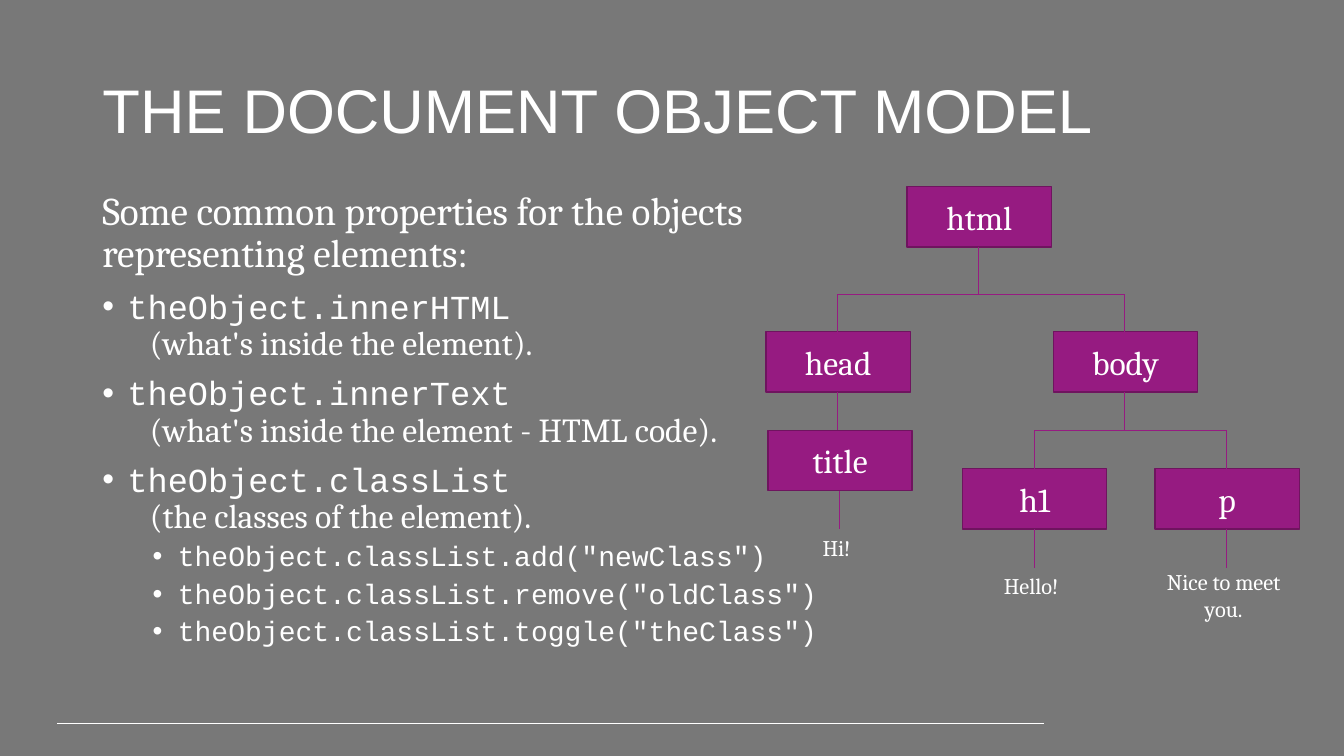
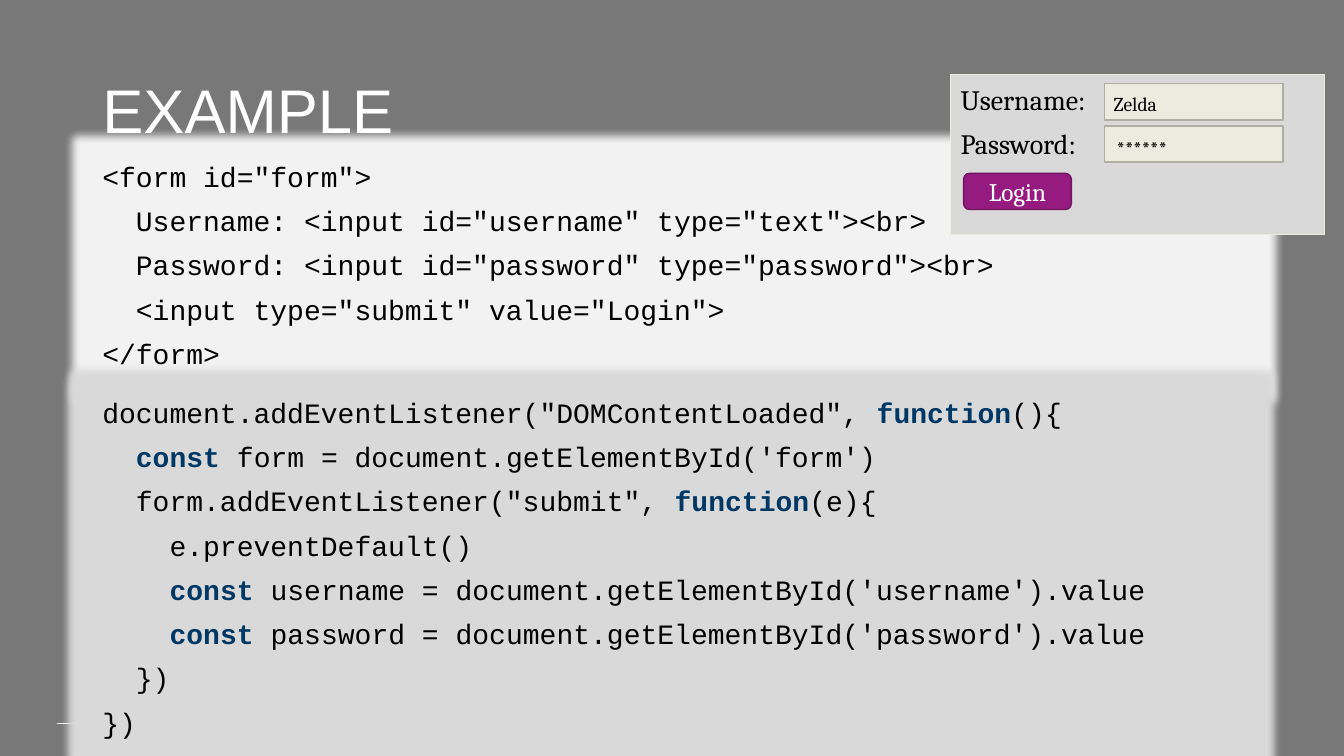
from lxml import etree
from pptx import Presentation
from pptx.dml.color import RGBColor
from pptx.enum import shapes, text
from pptx.oxml import ns
from pptx.util import Pt


class Theme:
    """Colours and text styles (font, size, colour) of the deck."""
    background, white, black = "787878", "FFFFFF", "000000"
    plum, plum_edge, keyword = "961B81", "6F145F", "003865"
    pale, silver = "F2F2F2", "D9D9D9"
    cream, cream_edge = "EBEBDF", "AEAEA5"
    title = ("Arial", 44, white)
    lead = ("Cambria", 28, white)
    note = node = ("Cambria", 24, white)
    member = ("Courier New", 24, white)
    method = ("Courier New", 20, white)
    caption = ("Cambria", 16, white)
    code = ("Courier New", 20, black)
    label = ("Cambria", 20, black)
    value = ("Cambria", 14, black)
    button = ("Cambria", 18, white)


LEFT, CENTER = text.PP_ALIGN.LEFT, text.PP_ALIGN.CENTER
TOP, MIDDLE = text.MSO_ANCHOR.TOP, text.MSO_ANCHOR.MIDDLE
RECTANGLE = shapes.MSO_SHAPE.RECTANGLE


def write(shape, lines, style, anchor=TOP, **formats):
    """Append paragraphs to a shape; text between bars is a code keyword."""
    frame = shape.text_frame
    frame.word_wrap, frame.vertical_anchor = True, anchor
    frame.auto_size = text.MSO_AUTO_SIZE.NONE
    for line in lines:
        first = not frame.paragraphs[0].runs
        paragraph = frame.paragraphs[0] if first else frame.add_paragraph()
        settings = {"alignment": LEFT, **formats}
        if first:
            settings["space_before"] = Pt(0)
        for name, setting in settings.items():
            setattr(paragraph, name, setting)
        for position, piece in enumerate(line.split("|")):
            if not piece:
                continue
            run = paragraph.add_run()
            run.text = piece
            is_keyword = position % 2 == 1
            font_name, size, colour = style
            run.font.name, run.font.size, run.font.bold = font_name, Pt(size), is_keyword
            run.font.color.rgb = RGBColor.from_string(Theme.keyword if is_keyword else colour)


def draw(slide, kind, frame, fill=None, edge=None, width=1):
    """Add a box at (left, top, width, height), or a line for kind None."""
    lengths = [Pt(length) for length in frame]
    if kind is None:
        shape = slide.shapes.add_connector(shapes.MSO_CONNECTOR.STRAIGHT, *lengths)
    else:
        shape = slide.shapes.add_shape(kind, *lengths)
        shape.shadow.inherit = False
        shape.fill.solid()
        shape.fill.fore_color.rgb = RGBColor.from_string(fill)
    if edge:
        shape.line.color.rgb = RGBColor.from_string(edge)
        shape.line.width = Pt(width)
    else:
        shape.line.fill.background()
    if kind is None:
        etree.SubElement(shape.element.spPr, ns.qn("a:effectLst"))
    return shape


presentation = Presentation()
presentation.slide_width, presentation.slide_height = Pt(960), Pt(540)

# Shared background, titles and footer line
layout = presentation.slide_layouts[5]
layout.background.fill.solid()
layout.background.fill.fore_color.rgb = RGBColor.from_string(Theme.background)
for heading in ("THE DOCUMENT OBJECT MODEL", "EXAMPLE"):
    slide = presentation.slides.add_slide(layout)
    title = slide.shapes.title
    title.left, title.top, title.width, title.height = Pt(66), Pt(29), Pt(828), Pt(104.4)
    write(title, [heading], Theme.title, MIDDLE, line_spacing=0.9)
model_slide, example_slide = presentation.slides
footer_line = draw(model_slide, None, (41, 517, 746, 517), edge=Theme.white, width=0.75)
layout.shapes.element.append(footer_line.element)

# Slide 1: element tree
NODE_WIDTH, NODE_HEIGHT, STEM, DROP = 103, 43.2, 51, 27.4
nodes = {
    "html": (648, 133.2),
    "head": (547.2, 236.9),
    "body": (752.4, 236.9),
    "title": (548.6, 307.4),
    "h1": (687.6, 334.8),
    "p": (825.1, 334.8),
}
for name, (left, top) in nodes.items():
    node = draw(model_slide, RECTANGLE, (left, top, NODE_WIDTH, NODE_HEIGHT),
                Theme.plum, Theme.plum_edge)
    write(node, [name], Theme.node, MIDDLE, alignment=CENTER)

# Branches: a stem down to the bar, the bar, and a drop to each child
branches = [("html", ("head", "body"), 210.2), ("body", ("h1", "p"), 307.4)]
lines = []
for parent, children, bar in branches:
    left, top = nodes[parent]
    lines.append((left + STEM, top + NODE_HEIGHT, left + STEM, bar))
    ends = [nodes[child][0] + STEM for child in children]
    lines.append((ends[0], bar, ends[-1], bar))
    lines += [(end, bar, end, nodes[child][1]) for end, child in zip(ends, children)]

# Single stems, three of them ending in a caption
captions = {"head": None, "title": "Hi!", "h1": "Hello!", "p": "Nice to meet you."}
for name, caption in captions.items():
    left, bottom = nodes[name][0], nodes[name][1] + NODE_HEIGHT
    lines.append((left + STEM, bottom, left + STEM, bottom + DROP))
    if caption:
        height = 41 if name == "p" else 27.4
        box = model_slide.shapes.add_textbox(
            Pt(left - 1.4), Pt(bottom + 26.7), Pt(100.8), Pt(height))
        write(box, [caption], Theme.caption, MIDDLE, alignment=CENTER)
for line in lines:
    draw(model_slide, None, line, edge=Theme.plum, width=0.5)

# Slide 1: properties as (text, style, left margin, bulleted, space before)
properties = [
    ("Some common properties for the objects representing elements:", Theme.lead, 0, False, 0)]
for member, note in (
    ("innerHTML", "(what's inside the element)."),
    ("innerText", "(what's inside the element - HTML code)."),
    ("classList", "(the classes of the element)."),
):
    properties.append((f"theObject.{member}", Theme.member, 18, True, 10))
    properties.append((note, Theme.note, 34, False, 0))
for call in ('add("newClass")', 'remove("oldClass")', 'toggle("theClass")'):
    properties.append((f"theObject.classList.{call}", Theme.method, 54, True, 5))

body = model_slide.shapes.add_textbox(Pt(66), Pt(133.2), Pt(530.6), Pt(337))
for line, style, margin, bulleted, space in properties:
    write(body, [line], style, line_spacing=0.9, space_before=Pt(space))
    settings = body.text_frame.paragraphs[-1]._p.get_or_add_pPr()
    settings.set("marL", str(Pt(margin)))
    settings.set("indent", str(Pt(-18 if bulleted else 0)))
    if bulleted:
        etree.SubElement(settings, ns.qn("a:buFont"), typeface="Arial")
        etree.SubElement(settings, ns.qn("a:buChar"), char="•")

# Slide 2: code panels with a glow in their own colour
markup = [
    '<form id="form">',
    '  Username: <input id="username" type="text"><br>',
    '  Password: <input id="password" type="password"><br>',
    '  <input type="submit" value="Login">',
    '</form>',
]
program = [
    'document.addEventListener("DOMContentLoaded", |function|(){',
    "|  const| form = document.getElementById('form')",
    '  form.addEventListener("submit", |function|(e){',
    '    e.preventDefault()',
    "    |const |username = document.getElementById('username').value",
    "    |const |password = document.getElementById('password').value",
    '  })',
    '})',
]
for code, top, height, colour in (
    (markup, 113, 157, Theme.pale),
    (program, 281.5, 252.7, Theme.silver),
):
    panel = draw(example_slide, RECTANGLE, (66, top, 828, height), colour)
    effects = panel.element.spPr.find(ns.qn("a:effectLst"))
    glow = etree.SubElement(effects, ns.qn("a:glow"), rad=str(Pt(11)))
    etree.SubElement(glow, ns.qn("a:srgbClr"), val=colour)
    write(panel, code, Theme.code, line_spacing=0.9, space_before=Pt(10))

# The title stays in front of the glow
example_slide.shapes.element.append(example_slide.shapes.title.element)

# Slide 2: login form
draw(example_slide, RECTANGLE, (679, 53.3, 267, 113.8), Theme.silver, Theme.cream, 0.5)
for label, label_top, field_top, value, value_left, value_top in (
    ("Username:", 55.4, 59.8, "Zelda", 788.4, 61.9),
    ("Password:", 87.1, 90, "******", 790.6, 93.6),
):
    draw(example_slide, RECTANGLE, (789.1, field_top, 127.4, 25.9),
         Theme.cream, Theme.cream_edge)
    for words, style, frame in (
        (label, Theme.label, (679, label_top, 123, 31.7)),
        (value, Theme.value, (value_left, value_top, 93.6, 24.5)),
    ):
        box = example_slide.shapes.add_textbox(*[Pt(length) for length in frame])
        write(box, [words], style)
button = draw(example_slide, shapes.MSO_SHAPE.ROUNDED_RECTANGLE,
              (688.3, 123.8, 77, 25.9), Theme.plum, Theme.plum_edge)
write(button, ["Login"], Theme.button, MIDDLE, alignment=CENTER)

presentation.save("out.pptx")
